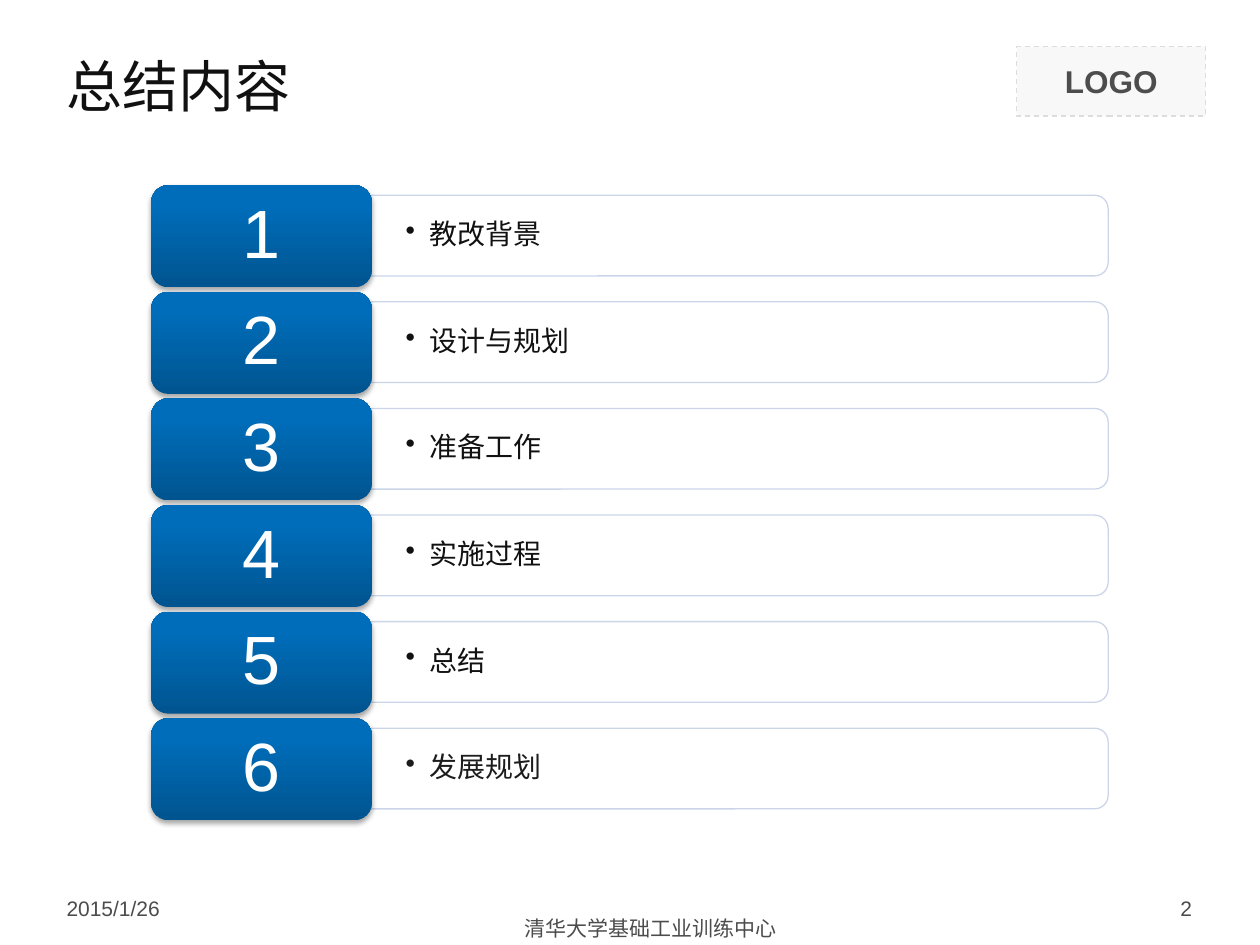
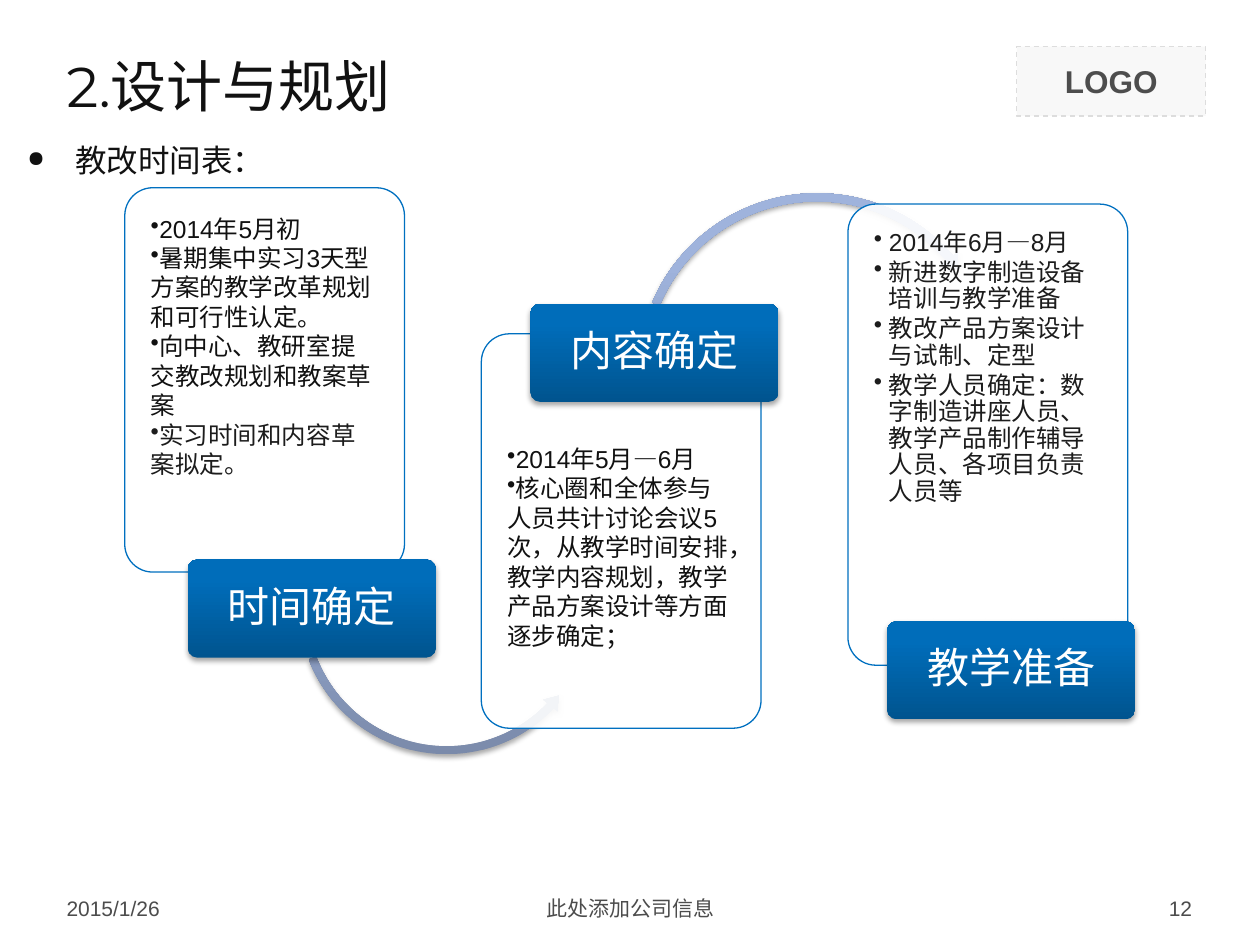
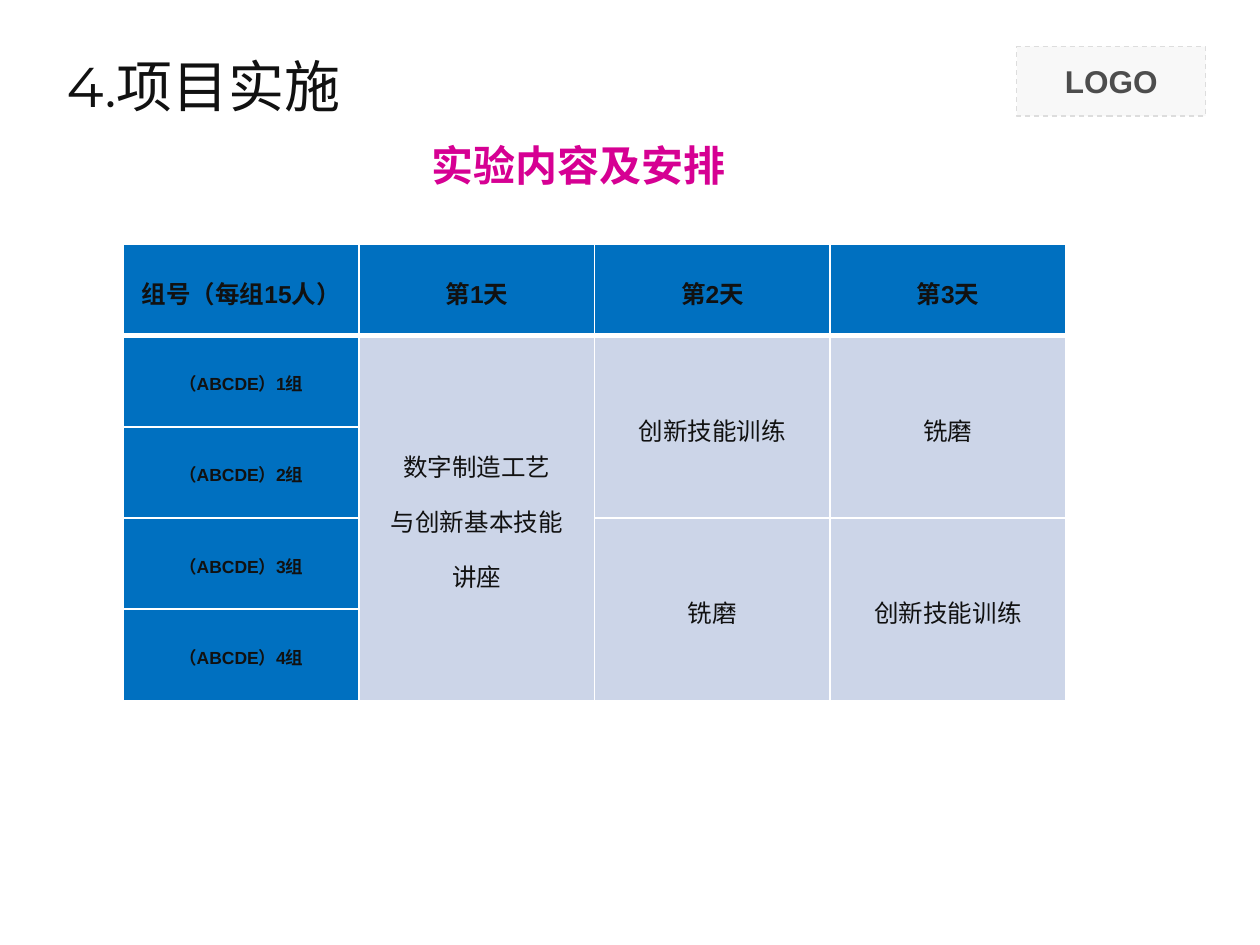
import copy

import pptx
import pptx.dml.color
import pptx.enum.dml
import pptx.enum.shapes
import pptx.enum.text
import pptx.oxml
import pptx.oxml.ns
import pptx.util
from lxml import etree

Inches = pptx.util.Inches
Pt = pptx.util.Pt
qn = pptx.oxml.ns.qn
SHAPE = pptx.enum.shapes.MSO_SHAPE
ALIGN = pptx.enum.text.PP_ALIGN
ANCHOR = pptx.enum.text.MSO_ANCHOR

COLORS = {
    "white": "FFFFFF",
    "ink": "111111",
    "soft_ink": "1C1C1C",
    "footer": "4C4C4C",
    "logo_text": "4D4D4D",
    "logo_fill": "F8F8F8",
    "logo_line": "DDDDDD",
    "blue": "0070C0",
    "pale_blue": "CCD5E8",
    "magenta": "D60093",
    "shadow": "000000",
}
TILE_GRADIENT = ((0, "00548F"), (0.8, "006DBA"), (1, "006DBB"))
ARROW_GRADIENT = ((0, "7A8AAA"), (0.8, "9FB3DC"), (1, "9EB3DF"))
DEFAULT_MARGINS = (0.1, 0.05, 0.1, 0.05)


def rgb(value):
    return pptx.dml.color.RGBColor.from_string(value)


def add_bullet(para, char="•", indent=0, size=None):
    properties = para._p.get_or_add_pPr()
    properties.set("marL", str(Inches(indent)))
    properties.set("indent", str(-Inches(indent)))
    if size:
        etree.SubElement(properties, qn("a:buSzPct"), val=str(size * 1000))
    etree.SubElement(properties, qn("a:buChar"), char=char)


def write_text(frame, text, size, color="ink", last_color=None, font="Arial",
               bold=False, align=ALIGN.LEFT, anchor=ANCHOR.MIDDLE,
               margins=DEFAULT_MARGINS, spacing=None, after=None, bullet=None):
    frame.word_wrap = True
    frame.vertical_anchor = anchor
    frame.margin_left, frame.margin_top, frame.margin_right, frame.margin_bottom = map(
        Inches, margins)
    frame.text = text
    for para in frame.paragraphs:
        if bullet:
            add_bullet(para, **bullet)
        para.alignment = align
        para.line_spacing = spacing
        para.space_after = after
        for span in para.runs:
            span.font.name = font
            span.font.size = Pt(size)
            span.font.bold = bold
            span.font.color.rgb = rgb(COLORS[color])
    if last_color:
        for span in frame.paragraphs[-1].runs:
            span.font.color.rgb = rgb(COLORS[last_color])


def add_text(page, bounds, text, size, **style):
    box = page.shapes.add_textbox(*map(Inches, bounds))
    write_text(box.text_frame, text, size, **style)


def add_panel(page, kind, bounds, fill, line, opacity=100):
    panel = page.shapes.add_shape(kind, *map(Inches, bounds))
    panel.shadow.inherit = False
    panel.fill.solid()
    panel.fill.fore_color.rgb = rgb(COLORS[fill])
    if opacity < 100:
        color = panel._element.spPr.find(qn("a:solidFill")).find(qn("a:srgbClr"))
        etree.SubElement(color, qn("a:alpha"), val=str(opacity * 1000))
    panel.line.color.rgb = rgb(COLORS[line])
    panel.line.width = Pt(0.75)
    return panel


def add_raised_shape(page, kind, bounds, gradient, adjustments=()):
    shape = page.shapes.add_shape(kind, *map(Inches, bounds))
    for index, value in enumerate(adjustments):
        shape.adjustments[index] = value
    shape.line.fill.background()
    shape.fill.gradient()
    shape.fill.gradient_angle = 90
    stops = shape._element.spPr.find(qn("a:gradFill")).find(qn("a:gsLst"))
    stops.append(copy.deepcopy(stops[-1]))
    for stop, (position, color) in zip(shape.fill.gradient_stops, gradient):
        stop.position = position
        stop.color.rgb = rgb(color)
    shape.shadow.inherit = False
    effects = shape._element.spPr.find(qn("a:effectLst"))
    shadow = etree.SubElement(
        effects, qn("a:outerShdw"), blurRad=str(Pt(3.1)), dist=str(Pt(1.8)),
        dir="5400000", algn="ctr", rotWithShape="0")
    color = etree.SubElement(shadow, qn("a:srgbClr"), val=COLORS["shadow"])
    etree.SubElement(color, qn("a:alpha"), val="35000")
    return shape


def add_page(deck, title):
    page = deck.slides.add_slide(deck.slide_layouts[6])
    logo = add_panel(page, SHAPE.RECTANGLE, (8.07, 0.37, 1.5, 0.55), "logo_fill", "logo_line")
    logo.line.dash_style = pptx.enum.dml.MSO_LINE.DASH
    write_text(logo.text_frame, "LOGO", 18, color="logo_text", bold=True, align=ALIGN.CENTER)
    add_text(page, (0.43, 0.28, 9.14, 0.79), title, 32, font="Montserrat")
    return page


def add_footer(page, note, note_left, note_top, number):
    for bounds, text, align in (
        ((0.43, 7.06, 2.33, 0.29), "2015/1/26", ALIGN.LEFT),
        ((note_left, note_top, 3.17, 0.29), note, ALIGN.CENTER),
        ((7.23, 7.06, 2.33, 0.29), number, ALIGN.RIGHT),
    ):
        add_text(page, bounds, text, 12, color="footer", align=align)


def add_agenda_row(page, top, number, topic, color):
    length, height = 5.85, 0.64
    center_x, center_y = 5.87, top + 0.4
    bar = add_panel(page, SHAPE.ROUND_2_SAME_RECTANGLE,
                    (center_x - height / 2, center_y - length / 2, height, length),
                    "white", "pale_blue", 90)
    bar.rotation = 90
    add_text(page, (2.95, top + 0.11, 5.82, 0.58), topic, 16, color=color,
             margins=(0.27, 0.14, 0.27, 0.14), spacing=0.9, bullet={"indent": 0.19})
    tile = add_raised_shape(page, SHAPE.ROUNDED_RECTANGLE, (1.2, top, 1.75, 0.81), TILE_GRADIENT)
    write_text(tile.text_frame, str(number), 39, color="white", align=ALIGN.CENTER,
               margins=(0.16, 0.08, 0.16, 0.08), spacing=0.9)


def add_stage_card(page, bounds, lines, text_top=0.14, **style):
    card = add_panel(page, SHAPE.ROUNDED_RECTANGLE, bounds, "white", "blue", 90)
    card.adjustments[0] = 0.1
    write_text(card.text_frame, "\n".join(lines), 14, anchor=ANCHOR.TOP,
               margins=(0.14, text_top, 0.14, 0.14), **style)


def add_stage_label(page, left, top, text):
    label = add_raised_shape(page, SHAPE.ROUNDED_RECTANGLE, (left, top, 1.97, 0.78),
                             TILE_GRADIENT, (0.1,))
    write_text(label.text_frame, text, 24, color="white", align=ALIGN.CENTER,
               margins=(0.05, 0.03, 0.05, 0.03), spacing=0.9)


def set_borders(cell, top, bottom):
    properties = cell._tc.get_or_add_tcPr()
    for side, width in (("L", 1), ("R", 1), ("T", top), ("B", bottom)):
        border = etree.SubElement(properties, qn("a:ln" + side), w=str(Pt(width)))
        fill = etree.SubElement(border, qn("a:solidFill"))
        etree.SubElement(fill, qn("a:srgbClr"), val=COLORS["white"])


def add_schedule(page, bounds, rows, spans):
    table = page.shapes.add_table(len(rows), len(rows[0]), *map(Inches, bounds)).table
    table.horz_banding = False
    for row_index, row in enumerate(rows):
        for column_index, text in enumerate(row):
            cell = table.cell(row_index, column_index)
            heading = row_index == 0 or column_index == 0
            set_borders(cell, 3 if row_index == 1 else 1, 3 if row_index == 0 else 1)
            cell.fill.solid()
            cell.fill.fore_color.rgb = rgb(COLORS["blue" if heading else "pale_blue"])
            margins = (0.06, 0, 0.06, 0)
            cell.vertical_anchor = ANCHOR.MIDDLE
            cell.margin_left, cell.margin_top, cell.margin_right, cell.margin_bottom = map(
                Inches, margins)
            if text:
                write_text(cell.text_frame, text, 10 if row_index and heading else 14,
                           bold=heading, align=ALIGN.CENTER, anchor=ANCHOR.MIDDLE,
                           margins=margins, spacing=1.15, after=Pt(8))
    for first, last in spans:
        table.cell(*first).merge(table.cell(*last))


def build_agenda(deck):
    page = add_page(deck, "总结内容")
    topics = ("教改背景", "设计与规划", "准备工作", "实施过程", "总结", "发展规划")
    first_top, last_top = 1.47, 5.7
    pitch = (last_top - first_top) / (len(topics) - 1)
    for index, topic in enumerate(topics):
        color = "soft_ink" if topic == topics[-1] else "ink"
        add_agenda_row(page, first_top + index * pitch, index + 1, topic, color)
    add_footer(page, "清华大学基础工业训练中心", 3.58, 7.22, "2")


def build_timeline(deck):
    page = add_page(deck, "2.设计与规划")
    add_text(page, (0.12, 1.07, 9.14, 4.52), "教改时间表：", 18, anchor=ANCHOR.TOP,
             after=Pt(4), bullet={"char": "●", "indent": 0.38, "size": 70})
    add_footer(page, "此处添加公司信息", 3.42, 7.06, "12")

    add_stage_card(page, (0.99, 1.49, 2.22, 3.05), (
        "2014年5月初",
        "暑期集中实习3天型方案的教学改革规划和可行性认定。",
        "向中心、教研室提交教改规划和教案草案",
        "实习时间和内容草案拟定。",
    ), last_color="soft_ink", bullet={"indent": 0})
    add_raised_shape(page, SHAPE.LEFT_CIRCULAR_ARROW, (2.33, 3.6, 2.43, 2.43),
                     ARROW_GRADIENT, (0.026, 3.202, 26.141, 95.429, 0.031))
    add_stage_label(page, 1.49, 4.44, "时间确定")

    add_stage_card(page, (3.82, 2.65, 2.22, 3.13), (
        "2014年5月—6月",
        "核心圈和全体参与人员共计讨论会议5次，从教学时间安排，教学内容规划，"
        "教学产品方案设计等方面逐步确定；",
    ), text_top=0.81, bullet={"indent": 0})
    add_raised_shape(page, SHAPE.CIRCULAR_ARROW, (5.02, 1.49, 2.93, 2.93),
                     ARROW_GRADIENT, (0.022, 2.636, 191.62, 121.766, 0.026))
    add_stage_label(page, 4.21, 2.41, "内容确定")

    add_stage_card(page, (6.73, 1.62, 2.22, 3.66), (
        "2014年6月—8月",
        "新进数字制造设备培训与教学准备",
        "教改产品方案设计与试制、定型",
        "教学人员确定：数字制造讲座人员、教学产品制作辅导人员、各项目负责人员等",
    ), color="soft_ink", spacing=0.9, after=Pt(2), bullet={"indent": 0.12})
    add_stage_label(page, 7.04, 4.93, "教学准备")


def build_schedule(deck):
    page = add_page(deck, "4.项目实施")
    add_text(page, (1.99, 1.09, 5.2, 0.44), "实验内容及安排", 24, color="magenta",
             bold=True, align=ALIGN.CENTER)
    training, milling = "创新技能训练", "铣磨"
    lecture = "数字制造工艺\n与创新基本技能\n讲座"
    rows = (
        ("组号（每组15人）", "第1天", "第2天", "第3天"),
        ("（ABCDE）1组", lecture, training, milling),
        ("（ABCDE）2组", "", "", ""),
        ("（ABCDE）3组", "", milling, training),
        ("（ABCDE）4组", "", "", ""),
    )
    spans = [((1, 1), (4, 1))]
    spans += [((row, column), (row + 1, column)) for row in (1, 3) for column in (2, 3)]
    add_schedule(page, (0.98, 1.94, 7.48, 3.62), rows, spans)


def main():
    deck = pptx.Presentation()
    deck.slide_width = Inches(10)
    deck.slide_height = Inches(7.5)
    build_agenda(deck)
    build_timeline(deck)
    build_schedule(deck)
    deck.save("out.pptx")


if __name__ == "__main__":
    main()
